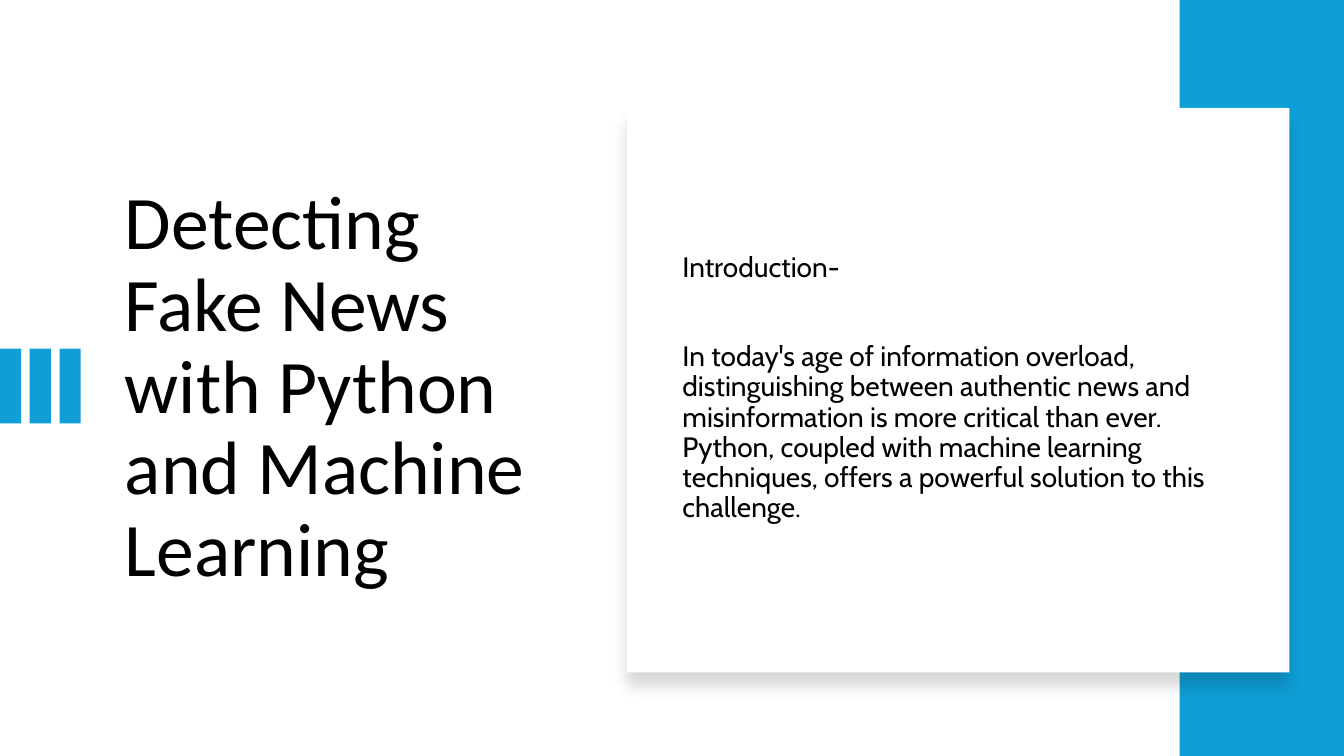
from lxml import etree
from pptx import Presentation
from pptx import util as u
from pptx.dml.color import RGBColor
from pptx.enum import shapes, text
from pptx.oxml.ns import qn

WIDTH, HEIGHT = 13.33, 7.5
BLUE, WHITE, BLACK = "0F9ED5", "FFFFFF", "000000"
TEXT_TOP, TEXT_HEIGHT = 1.46, 4.79
BAR_COUNT, BAR_WIDTH, BAR_STEP = 3, 0.21, 0.295

TITLE = "Detecting Fake News with Python and Machine Learning"
HEADING = "Introduction-"
BODY = (
    "In today's age of information overload, distinguishing between authentic "
    "news and misinformation is more critical than ever. Python, coupled with "
    "machine learning techniques, offers a powerful solution to this challenge."
)


def color(hex_value):
    return RGBColor.from_string(hex_value)


def add_panel(page, left, top, width, height, fill):
    panel = page.shapes.add_shape(
        shapes.MSO_SHAPE.RECTANGLE,
        u.Inches(left), u.Inches(top), u.Inches(width), u.Inches(height))
    panel.shadow.inherit = False
    panel.fill.solid()
    panel.fill.fore_color.rgb = color(fill)
    panel.line.fill.background()
    return panel


def add_soft_shadow(panel, blur, distance, angle, opacity):
    """Blur and distance in points, angle in degrees, opacity in percent."""
    effects = panel._element.spPr.find(qn("a:effectLst"))
    shadow = etree.SubElement(
        effects, qn("a:outerShdw"), blurRad=str(u.Pt(blur)),
        dist=str(u.Pt(distance)), dir=str(angle * 60000),
        algn="t", rotWithShape="0")
    tint = etree.SubElement(shadow, qn("a:srgbClr"), val=BLACK)
    etree.SubElement(tint, qn("a:alpha"), val=str(opacity * 1000))


def add_text_box(page, left, width):
    box = page.shapes.add_textbox(
        u.Inches(left), u.Inches(TEXT_TOP), u.Inches(width), u.Inches(TEXT_HEIGHT))
    box.text_frame.word_wrap = True
    box.text_frame.vertical_anchor = text.MSO_ANCHOR.MIDDLE
    return box.text_frame


def write(para, words, *, font, size, before=0):
    para.line_spacing = 0.9
    para.space_before = u.Pt(before)
    span = para.add_run()
    span.text = words
    span.font.name = font
    span.font.size = u.Pt(size)
    span.font.color.rgb = color(BLACK)


def main():
    deck = Presentation()
    deck.slide_width, deck.slide_height = u.Inches(WIDTH), u.Inches(HEIGHT)
    page = deck.slides.add_slide(deck.slide_layouts[6])

    # Title with the three accent bars at the left edge
    title = add_text_box(page, 1.14, 4.26)
    write(title.paragraphs[0], TITLE, font="Calibri", size=54)
    for index in range(BAR_COUNT):
        add_panel(page, index * BAR_STEP, 3.46, BAR_WIDTH, 0.74, BLUE)

    # Blue band on the right, with the white card over it
    band_left = 11.7
    add_panel(page, band_left, 0, WIDTH - band_left, HEIGHT, BLUE)
    card = add_panel(page, 6.22, 1.07, 6.57, 5.6, WHITE)
    add_soft_shadow(card, blur=11, distance=10, angle=90, opacity=15)

    # Introduction
    intro = add_text_box(page, 6.67, 5.75)
    write(intro.paragraphs[0], HEADING, font="Cabin", size=20, before=10)
    write(intro.add_paragraph(), BODY, font="Cabin", size=20, before=42)

    deck.save("out.pptx")


if __name__ == "__main__":
    main()
